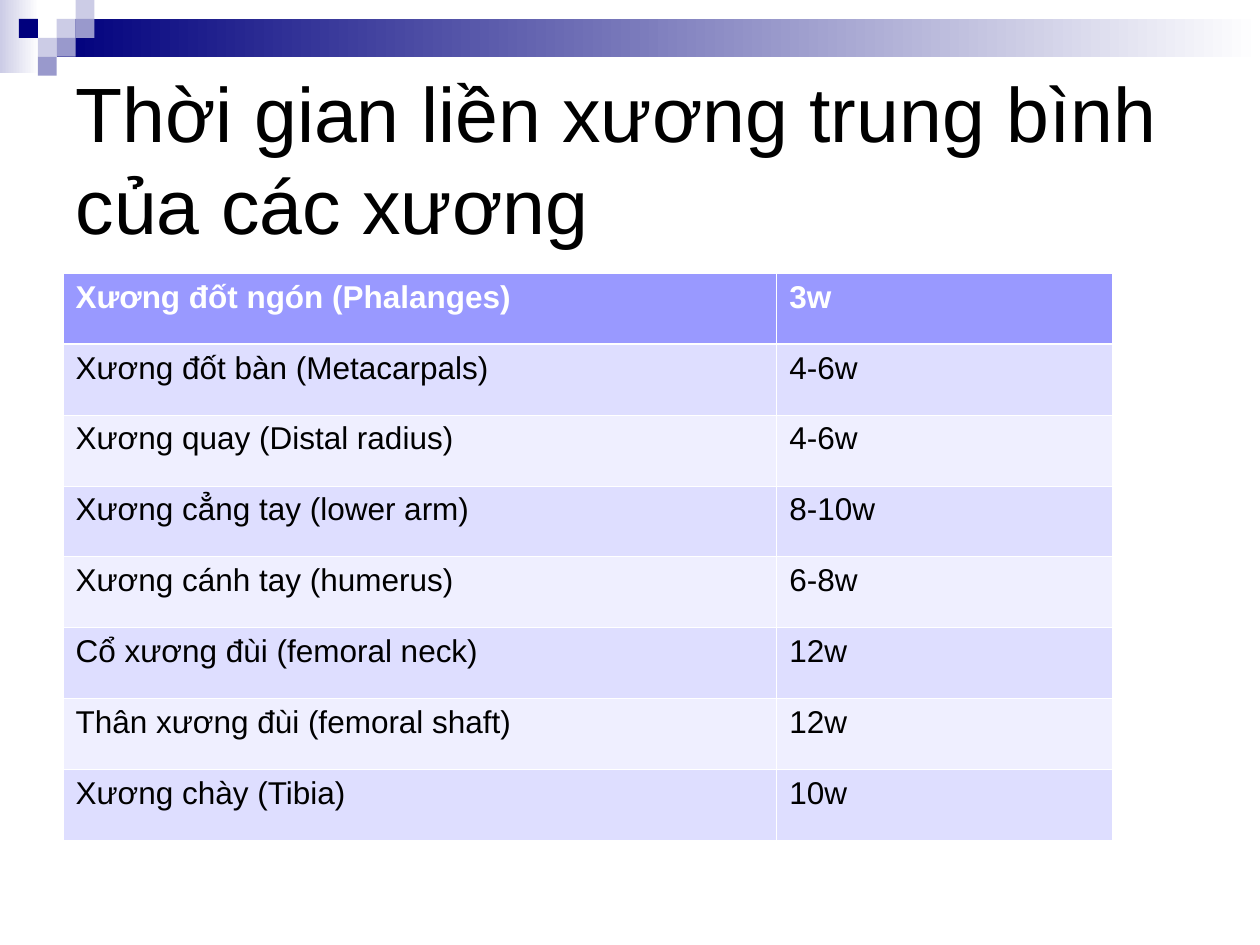
from lxml import etree
from pptx import Presentation
from pptx.dml.color import RGBColor
from pptx.enum import shapes, text
from pptx.oxml.ns import qn
from pptx.util import Inches, Pt

FONT = "Arial"
NAVY, LILAC, VIOLET, WHITE, BLACK = "00007D", "CCCCE6", "9999CC", "FFFFFF", "000000"
HEADER, BAND_DARK, BAND_LIGHT = "9999FF", "DEDEFF", "EFEFFF"

HEALING_TIMES = [
    ("Xương đốt ngón (Phalanges)", "3w"),
    ("Xương đốt bàn (Metacarpals)", "4-6w"),
    ("Xương quay (Distal radius)", "4-6w"),
    ("Xương cẳng tay (lower arm)", "8-10w"),
    ("Xương cánh tay (humerus)", "6-8w"),
    ("Cổ xương đùi (femoral neck)", "12w"),
    ("Thân xương đùi (femoral shaft)", "12w"),
    ("Xương chày (Tibia)", "10w"),
]


def color(value):
    return RGBColor.from_string(value)


def add_run(paragraph, words, size, hue, bold=False):
    run = paragraph.add_run()
    run.text = words
    run.font.name = FONT
    run.font.size = Pt(size)
    run.font.bold = bold
    run.font.color.rgb = color(hue)


def add_block(group, left, top, width, height, *hues):
    """A plain rectangle: one colour is solid, two fade left to right."""
    block = group.shapes.add_shape(
        shapes.MSO_SHAPE.RECTANGLE,
        Inches(left), Inches(top), Inches(width), Inches(height))
    block.shadow.inherit = False
    block.line.fill.background()
    if len(hues) == 1:
        block.fill.solid()
        block.fill.fore_color.rgb = color(hues[0])
    else:
        block.fill.gradient()
        block.fill.gradient_angle = 0
        for stop, hue in zip(block.fill.gradient_stops, hues):
            stop.color.rgb = color(hue)


def add_banner(slide, left, top, width):
    banner = slide.shapes.add_group_shape()
    step = 0.15
    # Fading side patch and bar
    add_block(banner, left, top, 0.31, 0.58, LILAC, WHITE)
    add_block(banner, left + 3 * step, top + step, width - 3 * step, 2 * step, NAVY, WHITE)
    # Stepped squares, by column and row
    for column, row, hue in [(3, 1, LILAC), (4, 0, LILAC), (4, 1, VIOLET), (2, 2, LILAC),
                             (1, 1, NAVY), (3, 2, VIOLET), (2, 3, VIOLET)]:
        add_block(banner, left + column * step, top + row * step, step, step, hue)


def add_title(slide, words, left, top, width, height):
    title = slide.shapes.title
    title.left, title.top = Inches(left), Inches(top)
    title.width, title.height = Inches(width), Inches(height)
    frame = title.text_frame
    frame.word_wrap = True
    frame.auto_size = text.MSO_AUTO_SIZE.NONE
    frame.vertical_anchor = text.MSO_ANCHOR.MIDDLE
    paragraph = frame.paragraphs[0]
    paragraph.alignment = text.PP_ALIGN.LEFT
    add_run(paragraph, words, 44, BLACK)


def set_borders(cell, **widths):
    properties = cell._tc.get_or_add_tcPr()
    for side in "LRTB":
        line = etree.SubElement(properties, qn(f"a:ln{side}"),
                                w=str(Pt(widths.get(side, 0.45))))
        fill = etree.SubElement(line, qn("a:solidFill"))
        etree.SubElement(fill, qn("a:srgbClr"), val=WHITE)


def add_healing_table(slide, rows, left, top, width, height):
    table = slide.shapes.add_table(
        len(rows), 2, Inches(left), Inches(top), Inches(width), Inches(height)).table
    for column, share in zip(table.columns, (0.68, 0.32)):
        column.width = Inches(width * share)
    for r, row in enumerate(rows):
        table.rows[r].height = Inches(height / len(rows))
        is_header = r == 0
        band = HEADER if is_header else (BAND_DARK if r % 2 else BAND_LIGHT)
        # The rule below the header is heavier
        heavy = {0: {"B": 1.5}, 1: {"T": 1.5}}.get(r, {})
        for c, words in enumerate(row):
            cell = table.cell(r, c)
            set_borders(cell, **heavy)
            cell.fill.solid()
            cell.fill.fore_color.rgb = color(band)
            add_run(cell.text_frame.paragraphs[0], words, 18,
                    WHITE if is_header else BLACK, is_header)


def main():
    deck = Presentation()
    deck.slide_width, deck.slide_height = Inches(10), Inches(7.5)
    slide = deck.slides.add_slide(deck.slide_layouts[5])
    add_banner(slide, 0, 0, 10)
    add_title(slide, "Thời gian liền xương trung bình của các xương", 0.5, 0.5, 9, 1.5)
    add_healing_table(slide, HEALING_TIMES, 0.5, 2.17, 8.33, 4.5)
    deck.save("out.pptx")


if __name__ == "__main__":
    main()
